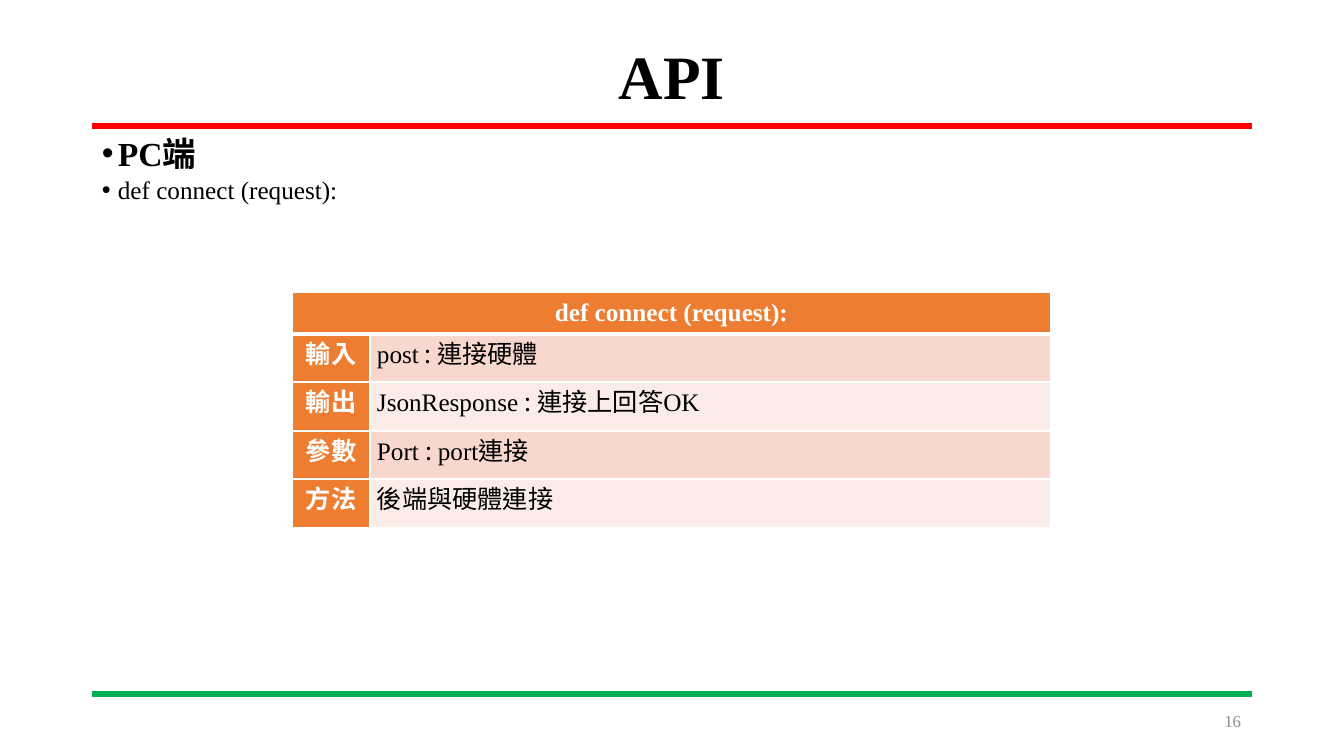
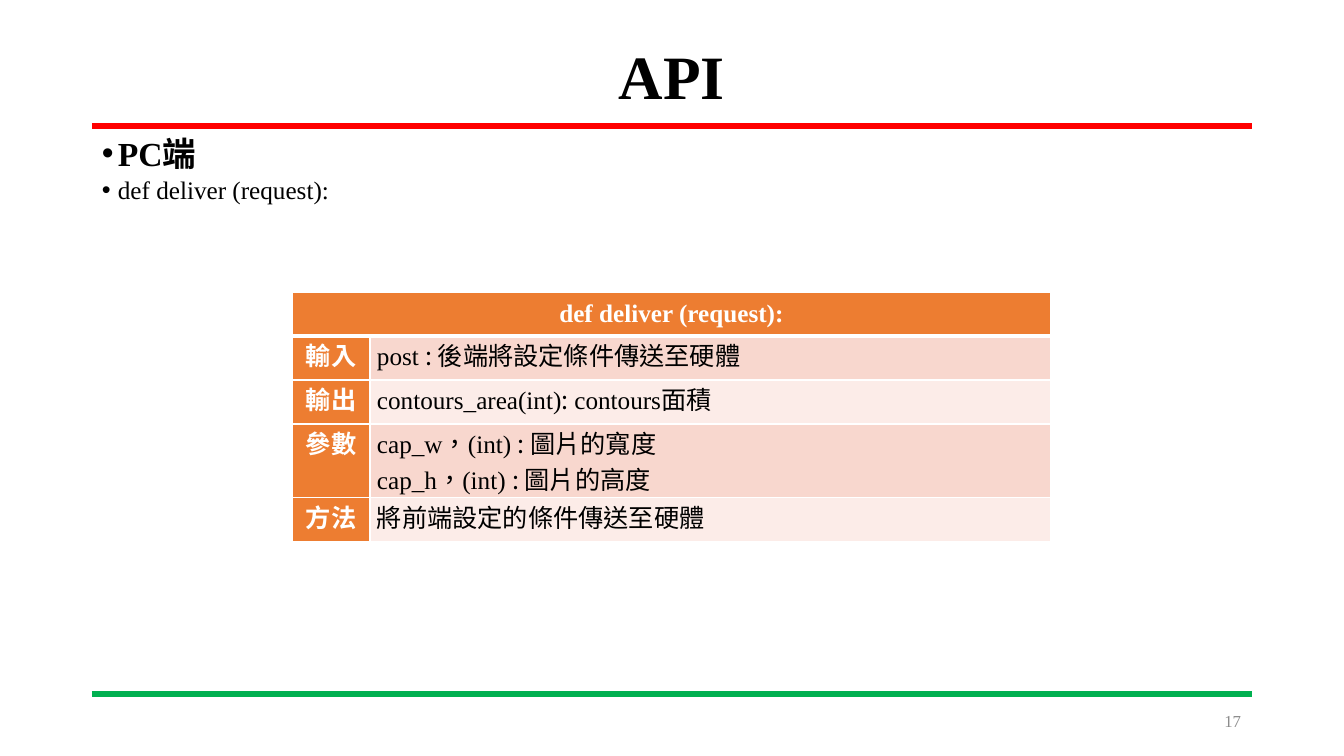
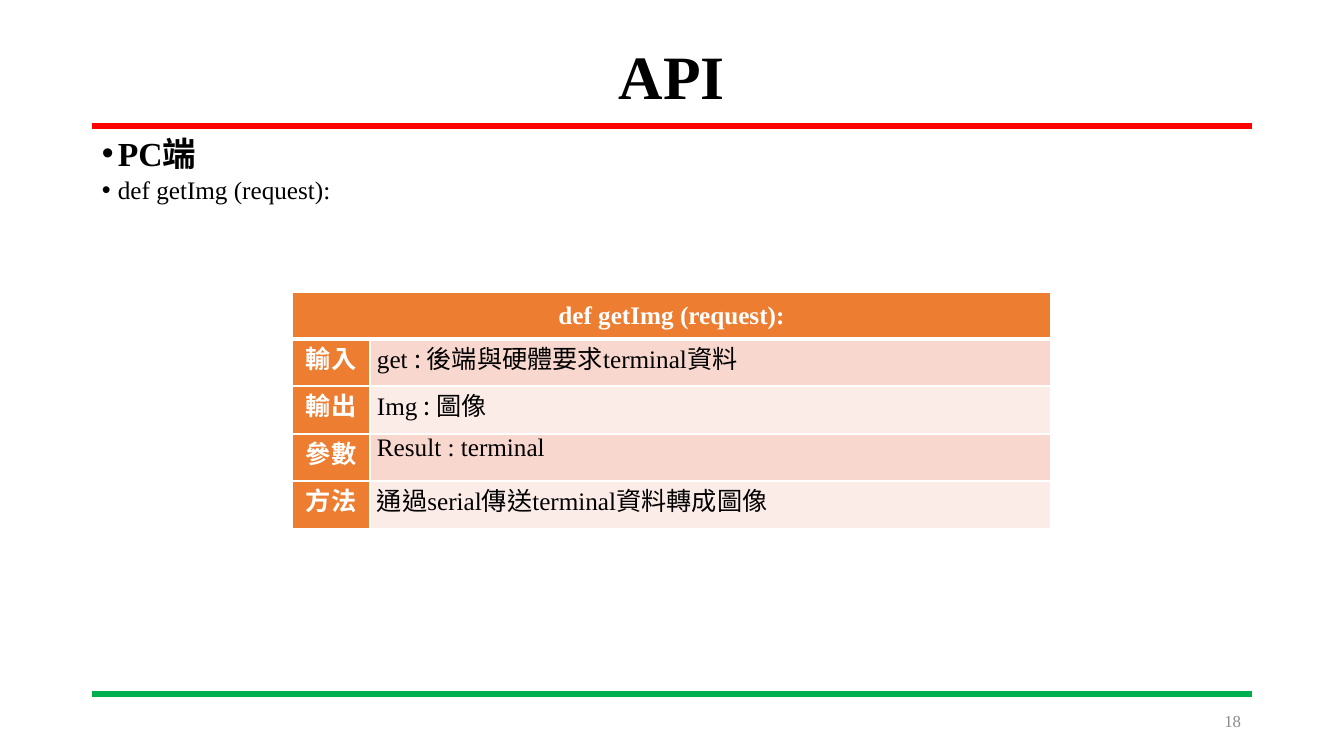
from itertools import cycle

from lxml import etree
from pptx import Presentation
from pptx import util as u
from pptx.dml.color import RGBColor
from pptx.enum import lang, shapes, text
from pptx.oxml import ns

LABELS = ["輸入", "輸出", "參數", "方法"]

CALLS = [
    {
        "signature": "def connect (request):",
        "heights": [42, 48, 49, 48, 49],
        "details": [
            ["post| : 連接硬體"],
            ["JsonResponse |: 連接上回答|OK"],
            ["Port |: |port|連接"],
            ["|後端與硬體連接"],
        ],
    },
    {
        "signature": "def deliver (request):",
        "heights": [44, 44, 44, 74, 44],
        "details": [
            ["post |: 後端將設定條件傳送至硬體"],
            ["contours_area(int)|: |contours|面積"],
            ["cap_w，(int) |: 圖片的寬度", "cap_h，(int) |: 圖片的高度"],
            ["|將前端設定的條件傳送至硬體"],
        ],
    },
    {
        "signature": "def getImg (request):",
        "heights": [47, 47, 48, 47, 48],
        "details": [
            ["get |: 後端與硬體要求|terminal|資料"],
            ["Img |: 圖像"],
            ["Result : terminal"],
            ["|通過|serial|傳送|terminal|資料轉成圖像"],
        ],
    },
]


def px(length):
    """Turn px into EMU."""
    return u.Emu(round(length * 12192000 / 1344))


def rgb(code):
    """Turn a hex string into a colour."""
    return RGBColor.from_string(code)


def add_xml(parent, tag, **attributes):
    """Append a drawing element to its parent."""
    return etree.SubElement(parent, ns.qn(tag), attributes)


class Deck:
    """Hold the style and the current slide."""

    LATIN, HAN, BULLET = "Times New Roman", "Noto Sans CJK SC", "Arial"
    BLACK, WHITE, GREY = "000000", "FFFFFF", "8C8C8C"
    RED, GREEN, ORANGE = "FF0000", "00B050", "ED7D31"
    BANDS = ["F8D7CE", "FCECE8"]
    LEFT, WIDTH = 92, 1160

    def __init__(self):
        """Start an empty wide presentation."""
        self.prs = Presentation()
        self.prs.slide_width, self.prs.slide_height = px(1344), px(756)
        self.slide = None

    def start_slide(self, title, number):
        """Add a slide with its rules, title and number."""
        self.slide = self.prs.slides.add_slide(self.prs.slide_layouts[6])
        self.rule(126, self.RED)
        self.rule(694, self.GREEN)
        heading = self.text_box(self.LEFT, 40, self.WIDTH, 80, [title], text.MSO_ANCHOR.MIDDLE)[0]
        heading.alignment, heading.line_spacing = text.PP_ALIGN.CENTER, 0.9
        self.style(heading.runs[0], 44, self.BLACK, True)
        page = self.text_box(949, 701, 302, 40, [str(number)], text.MSO_ANCHOR.MIDDLE)[0]
        page.alignment = text.PP_ALIGN.RIGHT
        self.style(page.runs[0], 12, self.GREY)

    def rule(self, y, colour):
        """Draw a horizontal line across the content width."""
        line = self.slide.shapes.add_connector(
            shapes.MSO_CONNECTOR.STRAIGHT, px(self.LEFT), px(y), px(self.LEFT + self.WIDTH), px(y)
        )
        line.line.color.rgb, line.line.width = rgb(colour), u.Pt(4.5)
        add_xml(line._element.spPr, "a:effectLst")

    def text_box(self, x, y, width, height, lines, anchor):
        """Add a wrapped text box and return its paragraphs."""
        frame = self.slide.shapes.add_textbox(px(x), px(y), px(width), px(height)).text_frame
        frame.word_wrap, frame.vertical_anchor = True, anchor
        frame.text = "\n".join(lines)
        return frame.paragraphs

    def style(self, run, size, colour, bold=False, face=LATIN):
        """Format one run."""
        run.font.name, run.font.size, run.font.bold = face, u.Pt(size), bold
        run.font.color.rgb = rgb(colour)
        run.font.language_id = lang.MSO_LANGUAGE_ID.TRADITIONAL_CHINESE
        add_xml(run._r.get_or_add_rPr(), "a:ea", typeface=self.HAN)

    def bullets(self, heading, entry):
        """Add the bold heading bullet and the entry under it."""
        items = self.text_box(self.LEFT, 132, self.WIDTH, 555, [heading, entry], text.MSO_ANCHOR.TOP)
        for item, size, bold in zip(items, (24, 18), (True, False)):
            item.line_spacing, item.space_before = 0.9, u.Pt(3)
            self.style(item.runs[0], size, self.BLACK, bold)
            properties = item._p.get_or_add_pPr()
            properties.set("marL", str(px(16)))
            properties.set("indent", str(-px(16)))
            add_xml(properties, "a:buFont", typeface=self.BULLET)
            add_xml(properties, "a:buChar", char="•")

    def call_table(self, signature, heights, details):
        """Add the table that describes one call."""
        table = self.slide.shapes.add_table(
            len(heights), 2, px(292), px(292), px(759), px(sum(heights))
        ).table
        for column, width in zip(table.columns, (78, 681)):
            column.width = px(width)
        for row, height in zip(table.rows, heights):
            row.height = px(height)
        table.cell(0, 0).merge(table.cell(0, 1))
        self.cell(table.cell(0, 0), [signature], self.ORANGE, True, bottom=3)
        self.cell(table.cell(0, 1), [], self.ORANGE, True, bottom=3)
        table.cell(0, 0).vertical_anchor = text.MSO_ANCHOR.MIDDLE
        for index, (label, lines, band) in enumerate(zip(LABELS, details, cycle(self.BANDS)), 1):
            top = 3 if index == 1 else 1
            self.cell(table.cell(index, 0), ["|" + label], self.ORANGE, True, top=top)
            self.cell(table.cell(index, 1), lines, band, top=top)

    def cell(self, cell, lines, fill, header=False, top=1, bottom=1):
        """Fill one cell; bars in a line switch between the two fonts."""
        cell.margin_left = cell.margin_right = px(7)
        cell.margin_top = cell.margin_bottom = 0
        for tag, points in zip(("a:lnL", "a:lnR", "a:lnT", "a:lnB"), (1, 1, top, bottom)):
            border = add_xml(cell._tc.get_or_add_tcPr(), tag, w=str(u.Pt(points)))
            add_xml(add_xml(border, "a:solidFill"), "a:srgbClr", val=self.WHITE)
        cell.fill.solid()
        cell.fill.fore_color.rgb = rgb(fill)
        colour = self.WHITE if header else self.BLACK
        for index, line in enumerate(lines):
            frame = cell.text_frame
            paragraph = frame.add_paragraph() if index else frame.paragraphs[0]
            paragraph.alignment = text.PP_ALIGN.CENTER if header else text.PP_ALIGN.LEFT
            for part, face in zip(line.split("|"), cycle((self.LATIN, self.HAN))):
                if part:
                    run = paragraph.add_run()
                    run.text = part
                    self.style(run, 18, colour, header, face)


def main():
    """Build one slide for each call."""
    deck = Deck()
    for number, call in enumerate(CALLS, 16):
        deck.start_slide("API", number)
        deck.bullets("PC端", call["signature"])
        deck.call_table(**call)
    deck.prs.save("out.pptx")


if __name__ == "__main__":
    main()
